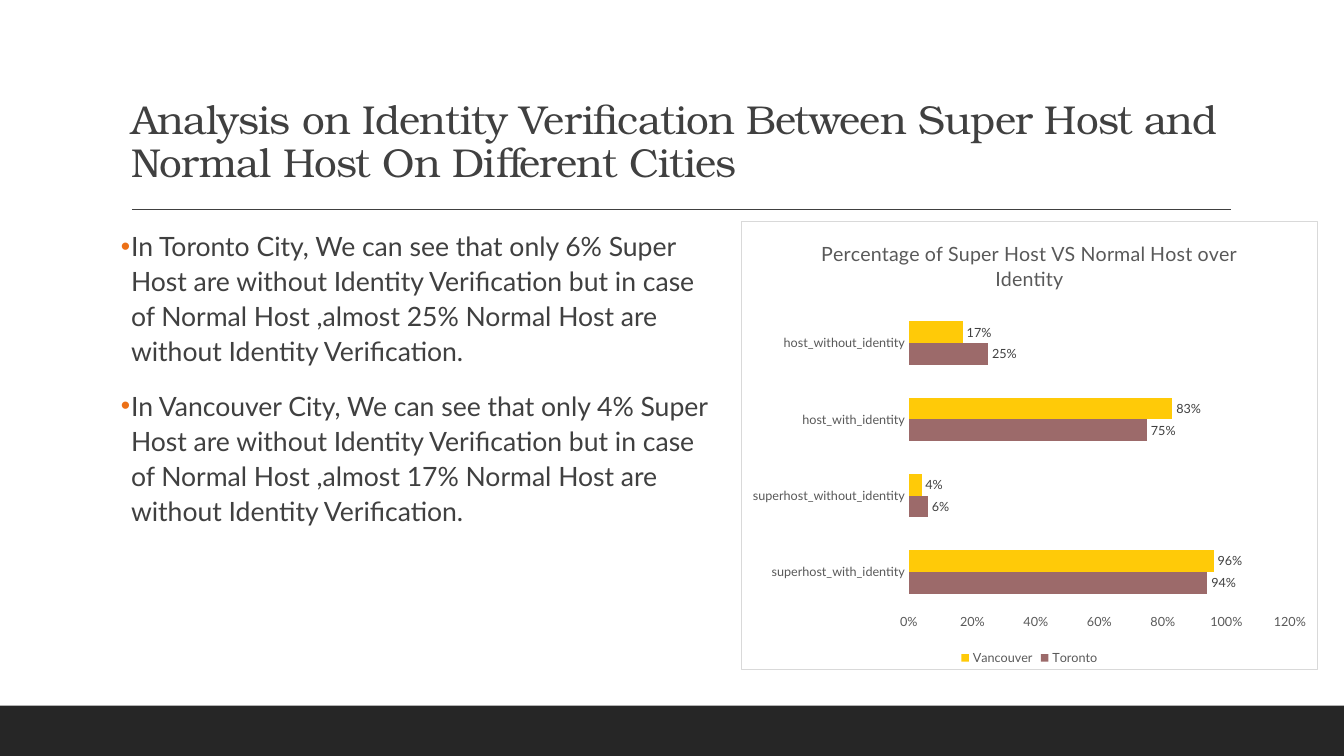
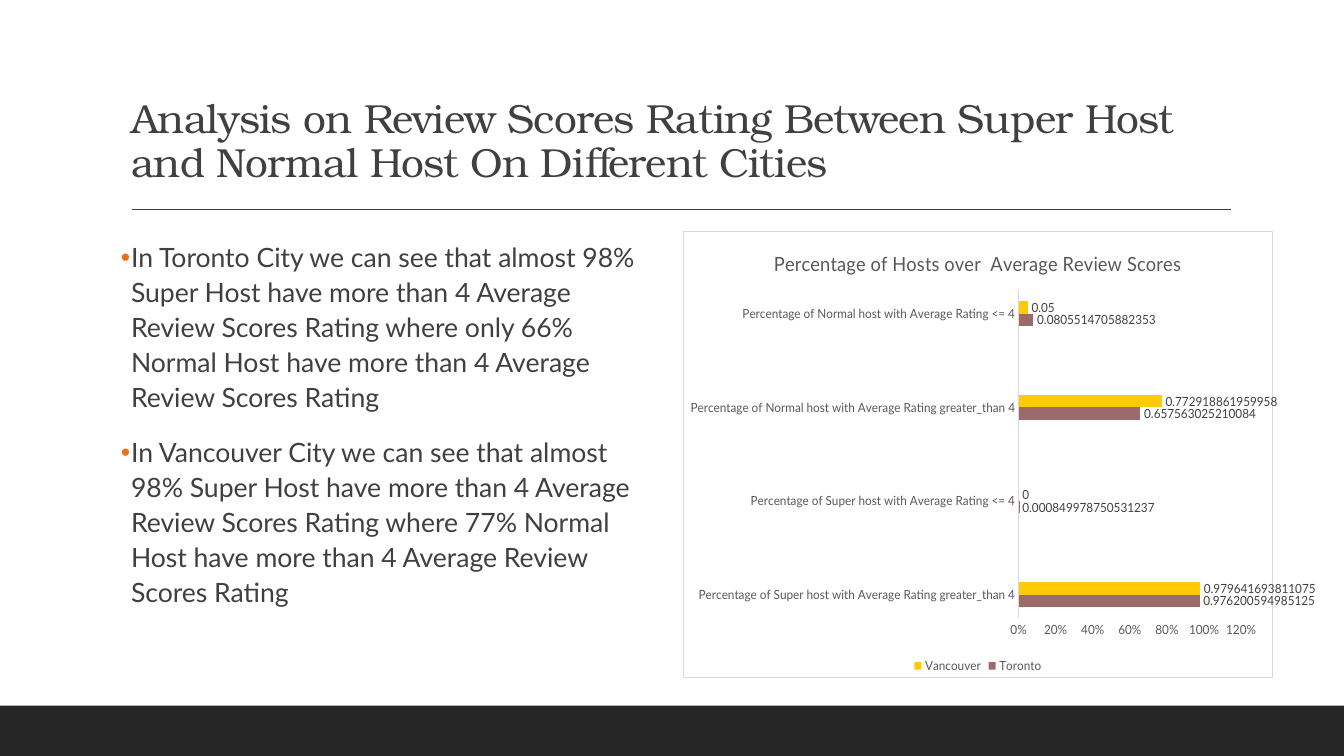
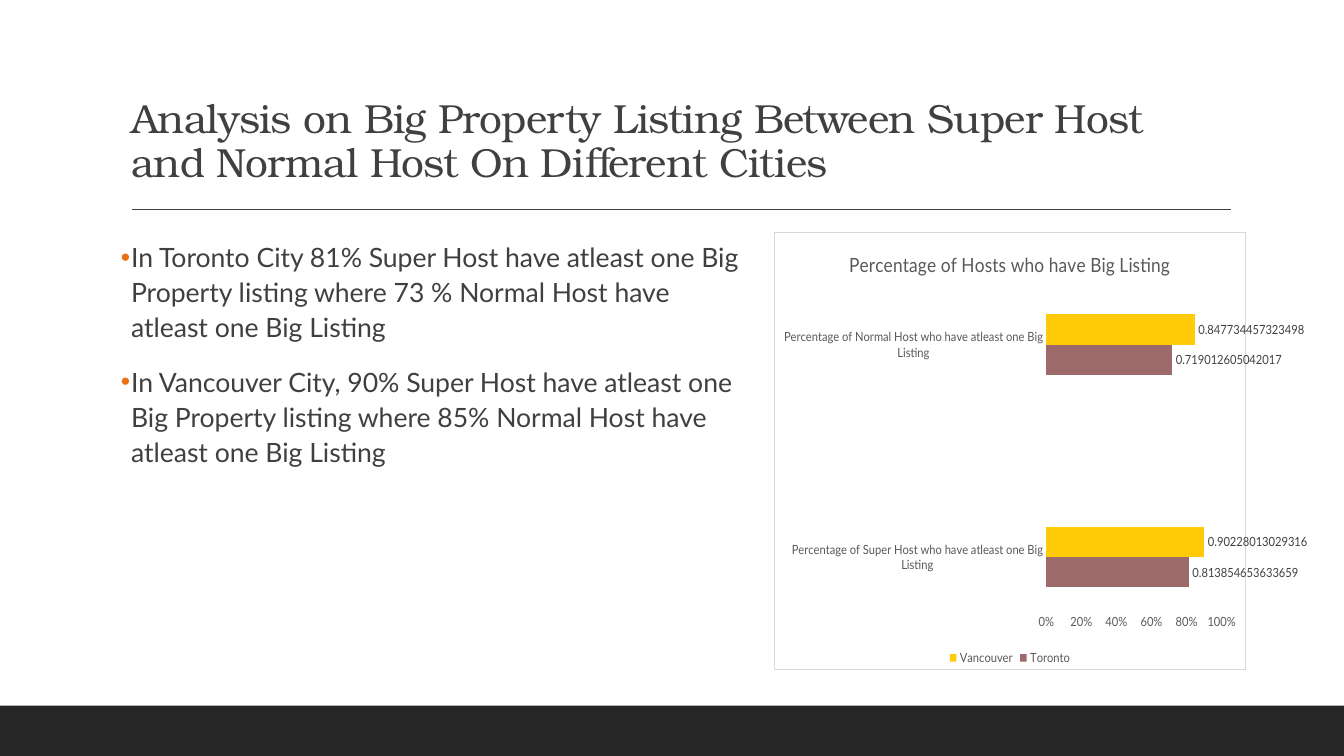
from lxml import etree
from pptx import Presentation
from pptx import util as u
from pptx.chart import data
from pptx.dml import color
from pptx.enum import chart as ce
from pptx.enum import shapes, text
from pptx.oxml import ns

SLIDE_SIZE = (u.Inches(13.333), u.Inches(7.5))
INK, MUTED, PALE, BAND, ACCENT = "404040", "595959", "D9D9D9", "262626", "EC7016"
SERIES_COLOURS = {"Toronto": "9C6A6A", "Vancouver": "FFCA08"}
TITLE_FONT, BODY_FONT = "TeX Gyre Bonum", "Lato"
TITLE_BOX = (9, 4.13, 82.5, 21.2)


def rgb(value):
    return color.RGBColor.from_string(value)


def share(left, top, width, height):
    return [int(part * side / 100) for part, side in zip((left, top, width, height), SLIDE_SIZE * 2)]


def place(part, box):
    part.left, part.top, part.width, part.height = share(*box)


def style_font(font, size, hue, face=BODY_FONT):
    font.size, font.name, font.bold = u.Pt(size), face, False
    font.color.rgb = rgb(hue)


def child(parent, tag, **attributes):
    return etree.SubElement(parent, ns.qn(tag), attributes)


def add_master_parts(slide):
    band = slide.shapes.add_shape(shapes.MSO_SHAPE.RECTANGLE, *share(0, 93.33, 100, 6.67))
    band.shadow.inherit = False
    band.fill.solid()
    band.fill.fore_color.rgb = rgb(BAND)
    band.line.fill.background()
    left, top, width, _ = share(9.82, 27.7, 81.75, 0)
    rule = slide.shapes.add_connector(shapes.MSO_CONNECTOR.STRAIGHT, left, top, left + width, top)
    rule.line.color.rgb = rgb(INK)
    rule.line.width = u.Pt(1)
    child(rule.element.spPr, "a:effectLst")
    layout_tree = slide.slide_layout.shapes.element
    for order, part in enumerate((band, rule)):
        part.element.xpath("./*/p:cNvPr")[0].set("id", str(100 + order))
        layout_tree.insert(2 + order, part.element)


def fill_title(title, box, wording, size):
    place(title, box)
    frame = title.text_frame
    frame.auto_size = text.MSO_AUTO_SIZE.NONE
    frame.vertical_anchor = text.MSO_ANCHOR.BOTTOM
    paragraph = frame.paragraphs[0]
    paragraph.alignment = text.PP_ALIGN.LEFT
    paragraph.line_spacing = 0.9
    run = paragraph.add_run()
    run.text = wording
    style_font(run.font, size, INK, TITLE_FONT)
    run._r.get_or_add_rPr().set("spc", "-50")


def fill_findings(body, box, findings):
    place(body, box)
    frame = body.text_frame
    frame.auto_size = text.MSO_AUTO_SIZE.NONE
    frame.margin_left = frame.margin_right = 0
    indent = u.Inches(0.1)
    for order, finding in enumerate(findings):
        paragraph = frame.add_paragraph() if order else frame.paragraphs[0]
        paragraph.line_spacing = 1.1
        paragraph.space_before, paragraph.space_after = u.Pt(12), u.Pt(2)
        properties = paragraph._p.get_or_add_pPr()
        properties.set("marL", str(indent))
        properties.set("indent", str(-indent))
        child(child(properties, "a:buClr"), "a:srgbClr", val=ACCENT)
        child(properties, "a:buChar", char="•")
        run = paragraph.add_run()
        run.text = finding
        style_font(run.font, 19, INK)


def frame_chart(chart):
    area = etree.Element(ns.qn("c:spPr"))
    child(child(area, "a:solidFill"), "a:srgbClr", val="FFFFFF")
    border = child(area, "a:ln", w=str(u.Pt(0.75)))
    child(child(border, "a:solidFill"), "a:srgbClr", val=PALE)
    chart.element.find(ns.qn("c:chart")).addnext(area)


def style_axis(axis, line=None):
    axis.has_major_gridlines = False
    axis.major_tick_mark = axis.minor_tick_mark = ce.XL_TICK_MARK.NONE
    style_font(axis.tick_labels.font, 9, MUTED)
    if line:
        axis.format.line.color.rgb = rgb(line)
        axis.format.line.width = u.Pt(0.75)
    else:
        axis.format.line.fill.background()


def label_bars(city, figures, label_format):
    labels = city.data_labels
    labels.show_value = True
    labels.position = ce.XL_LABEL_POSITION.OUTSIDE_END
    labels.number_format = label_format
    labels.number_format_is_linked = False
    style_font(labels.font, 9, INK)
    for order, figure in enumerate(figures):
        if isinstance(figure, str):
            label = city.points[order].data_label
            run = label.text_frame.paragraphs[0].add_run()
            run.text = figure
            style_font(run.font, 9, INK)
            label.position = ce.XL_LABEL_POSITION.OUTSIDE_END


def add_host_chart(slide, box, heading, categories, cities, top_value, label_format="General",
                   gap=150, axis_line=None):
    rates = data.CategoryChartData()
    rates.categories = categories
    for city, figures in cities.items():
        rates.add_series(city, [figure and round(float(figure), 6) for figure in figures])
    chart = slide.shapes.add_chart(ce.XL_CHART_TYPE.BAR_CLUSTERED, *share(*box), rates).chart
    style_font(chart.font, 10, "000000")
    frame_chart(chart)

    chart.has_title = True
    run = chart.chart_title.text_frame.paragraphs[0].add_run()
    run.text = heading
    style_font(run.font, 14, MUTED)
    chart.chart_title.include_in_layout = False

    chart.has_legend = True
    chart.legend.position = ce.XL_LEGEND_POSITION.BOTTOM
    chart.legend.include_in_layout = False
    style_font(chart.legend.font, 9, MUTED)

    style_axis(chart.category_axis, axis_line)
    scale = chart.value_axis
    style_axis(scale)
    scale.minimum_scale, scale.maximum_scale, scale.major_unit = 0, top_value, 0.2
    scale.tick_labels.number_format = "0%"
    scale.tick_labels.number_format_is_linked = False

    plot = chart.plots[0]
    plot.vary_by_categories = False
    plot.gap_width, plot.overlap = gap, 0
    for city in plot.series:
        city.format.fill.solid()
        city.format.fill.fore_color.rgb = rgb(SERIES_COLOURS[city.name])
        city.invert_if_negative = False
        label_bars(city, cities[city.name], label_format)


ANALYSES = [
    dict(
        title="Analysis on Identity Verification Between Super Host and Normal Host On Different Cities",
        title_box=(9, 11.33, 82.5, 14),
        title_size=28.8,
        findings=[
            "In Toronto City, We can see that only 6% Super Host are without Identity Verification but in "
            "case of Normal Host ,almost 25% Normal Host are without Identity Verification.",
            "In Vancouver City, We can see that only 4% Super Host are without Identity Verification but in "
            "case of Normal Host ,almost 17% Normal Host are without Identity Verification.",
        ],
        findings_box=(9, 29.33, 44.48, 59.33),
        chart=dict(
            box=(55.13, 29.27, 42.93, 59.4),
            heading="Percentage of Super Host VS Normal Host over Identity",
            categories=["superhost_with_identity", "superhost_without_identity",
                        "host_with_identity", "host_without_identity"],
            cities={"Toronto": [0.94, 0.06, 0.75, 0.25], "Vancouver": [0.96, 0.04, 0.83, 0.17]},
            top_value=1.2,
            label_format="0%",
        ),
    ),
    dict(
        title="Analysis on Review Scores Rating Between Super Host and Normal Host On Different Cities",
        findings=[
            "In Toronto City we can see that almost 98% Super Host have more than 4 Average Review Scores "
            "Rating where only 66% Normal Host have more than 4 Average Review Scores Rating",
            "In Vancouver City we can see that almost 98% Super Host have more than 4 Average Review Scores "
            "Rating where 77% Normal Host have more than 4 Average Review Scores Rating",
        ],
        findings_box=(9, 30.8, 40.2, 58.93),
        chart=dict(
            box=(50.81, 30.53, 47.08, 59.2),
            heading="Percentage of Hosts over  Average Review Scores",
            categories=["Percentage of Super host with Average Rating greater_than 4", "",
                        "Percentage of Super host with Average Rating <= 4", "",
                        "Percentage of Normal host with Average Rating greater_than 4", "",
                        "Percentage of Normal host with Average Rating <= 4"],
            cities={
                "Toronto": ["0.976200594985125", None, "0.000849978750531237", None,
                            "0.657563025210084", None, "0.0805514705882353"],
                "Vancouver": ["0.979641693811075", None, 0, None, "0.772918861959958", None, 0.05],
            },
            top_value=1.2,
            gap=182,
            axis_line=PALE,
        ),
    ),
    dict(
        title="Analysis on Big Property Listing Between Super Host and Normal Host On Different Cities",
        findings=[
            "In Toronto City 81% Super Host have atleast one Big Property listing where 73 % Normal Host "
            "have atleast one Big Listing",
            "In Vancouver City, 90% Super Host have atleast one Big Property listing where 85% Normal Host "
            "have atleast one Big Listing",
        ],
        findings_box=(9, 30.8, 46.58, 54.8),
        chart=dict(
            box=(57.6, 30.73, 39.68, 57.93),
            heading="Percentage of Hosts who have Big Listing",
            categories=["Percentage of Super Host who have atleast one Big Listing", "",
                        "Percentage of Normal Host who have atleast one Big Listing"],
            cities={
                "Toronto": ["0.813854653633659", None, "0.719012605042017"],
                "Vancouver": ["0.90228013029316", None, "0.847734457323498"],
            },
            top_value=1,
        ),
    ),
]


def add_analysis(deck, title, findings, findings_box, chart, title_box=TITLE_BOX, title_size=29):
    slide = deck.slides.add_slide(deck.slide_layouts[1])
    fill_title(slide.shapes.title, title_box, title, title_size)
    fill_findings(slide.placeholders[1], findings_box, findings)
    add_host_chart(slide, **chart)
    return slide


def main():
    deck = Presentation()
    deck.slide_width, deck.slide_height = SLIDE_SIZE
    slides = [add_analysis(deck, **analysis) for analysis in ANALYSES]
    add_master_parts(slides[0])
    deck.save("out.pptx")


if __name__ == "__main__":
    main()
